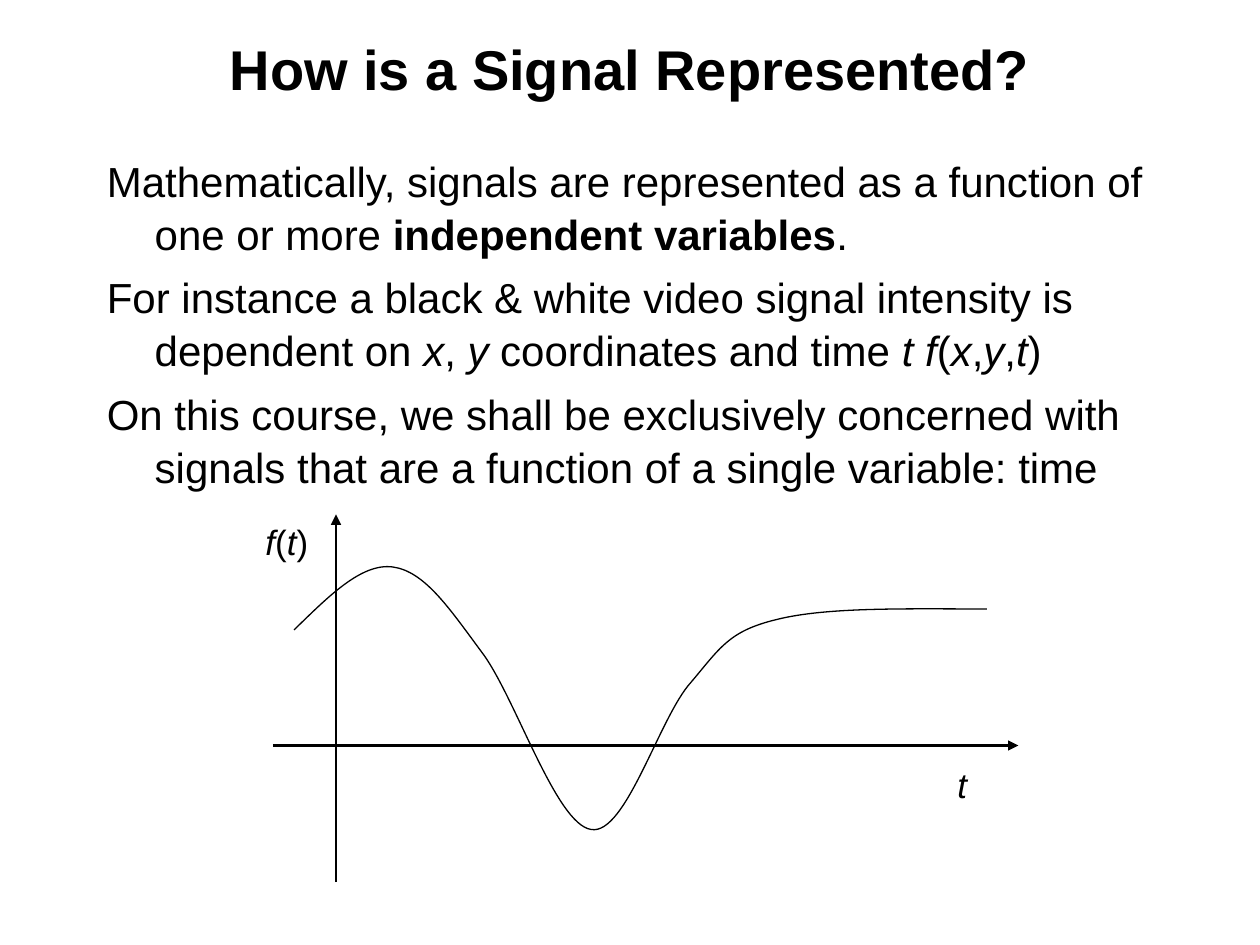
from lxml.etree import SubElement
from pptx import Presentation
from pptx.dml.color import RGBColor
from pptx.enum.shapes import MSO_CONNECTOR as Connector
from pptx.enum.text import MSO_ANCHOR as Anchor, PP_ALIGN as Align
from pptx.oxml.ns import qn
from pptx.util import Inches, Pt

COLORS = {"ink": "000000", "paper": "FFFFFF"}
INK = RGBColor.from_string(COLORS["ink"])

deck = Presentation()
deck.slide_width, deck.slide_height = Inches(10), Inches(7.5)
COLUMN, ROW = deck.slide_width / 120, deck.slide_height / 90
slide = deck.slides.add_slide(deck.slide_layouts[6])
slide.background.fill.solid()
slide.background.fill.fore_color.rgb = RGBColor.from_string(COLORS["paper"])


def place(x, y):
    return round(x * COLUMN), round(y * ROW)


def write(corner, extent, paragraphs, size, wrap=True):
    frame = slide.shapes.add_textbox(*place(*corner), *place(*extent)).text_frame
    frame.word_wrap = wrap
    for i, runs in enumerate(paragraphs):
        paragraph = frame.paragraphs[0] if i == 0 else frame.add_paragraph()
        for words, style in runs:
            run = paragraph.add_run()
            run.text = words
            run.font.name, run.font.size = "Arial", Pt(size)
            run.font.color.rgb = INK
            run.font.bold, run.font.italic = style == "b", style == "i"
    return frame


heading = write((9, 2), (102, 9), [[("How is a Signal Represented?", "b")]], 32)
heading.vertical_anchor = Anchor.MIDDLE
heading.paragraphs[0].alignment = Align.CENTER

explanation = write((9, 14), (102, 69), [
    [("Mathematically, signals are represented as a function of one or more ", ""),
     ("independent variables", "b"), (".", "")],
    [("For instance a black & white video signal intensity is dependent on ", ""),
     ("x", "i"), (", ", ""), ("y", "i"), (" coordinates and time ", ""),
     ("t f", "i"), ("(", ""), ("x", "i"), (",", ""), ("y", "i"), (",", ""),
     ("t", "i"), (")", "")],
    [("On this course, we shall be exclusively concerned with signals that are "
      "a function of a single variable: time", "")],
], 24)
for i, paragraph in enumerate(explanation.paragraphs):
    paragraph.line_spacing = 1.05
    paragraph.space_before = Pt(6 if i else 0)
    indents = paragraph._p.get_or_add_pPr()
    indents.set("marL", str(Inches(0.38)))
    indents.set("indent", str(-Inches(0.38)))

time_axis = (26, 71), (97, 71)
value_axis = (32, 84), (32, 49)
for start, end in (time_axis, value_axis):
    axis = slide.shapes.add_connector(Connector.STRAIGHT, *place(*start), *place(*end))
    axis.line.color.rgb = INK
    axis.line.width = Pt(1.5)
    SubElement(axis.line._get_or_add_ln(), qn("a:tailEnd"), type="triangle")
    SubElement(axis._element.spPr, qn("a:effectLst"))

write((90, 72.1), (3.7, 5.3), [[("t", "i")]], 20, wrap=False)
write((24.1, 49), (6.8, 5.3),
      [[("f", "i"), ("(", ""), ("t", "i"), (")", "")]], 20, wrap=False)

signal_start = (28, 60)
signal_bends = [
    (31.2, 56.9), (34.4, 53.6), (37.4, 54),
    (40.4, 54.4), (42.7, 57.8), (45.8, 62),
    (49, 66.1), (52.9, 78.5), (56.3, 79),
    (59.6, 79.6), (62.8, 68.3), (65.8, 65),
    (68.6, 61.7), (69.4, 60.1), (74, 59),
    (78.8, 57.8), (86.4, 58), (94, 58),
]
outline = slide.shapes.build_freeform(*place(*signal_start))
outline.add_line_segments([place(*bend) for bend in signal_bends], close=False)
signal = outline.convert_to_shape()
signal.shadow.inherit = False
signal.fill.background()
signal.line.color.rgb = INK
signal.line.width = Pt(0.75)

track = signal._element.find(".//" + qn("a:path"))
segments = track.findall(qn("a:lnTo"))
for i in range(0, len(segments), 3):
    curve = SubElement(track, qn("a:cubicBezTo"))
    for segment in segments[i:i + 3]:
        curve.append(segment[0])
        track.remove(segment)

deck.save("out.pptx")
